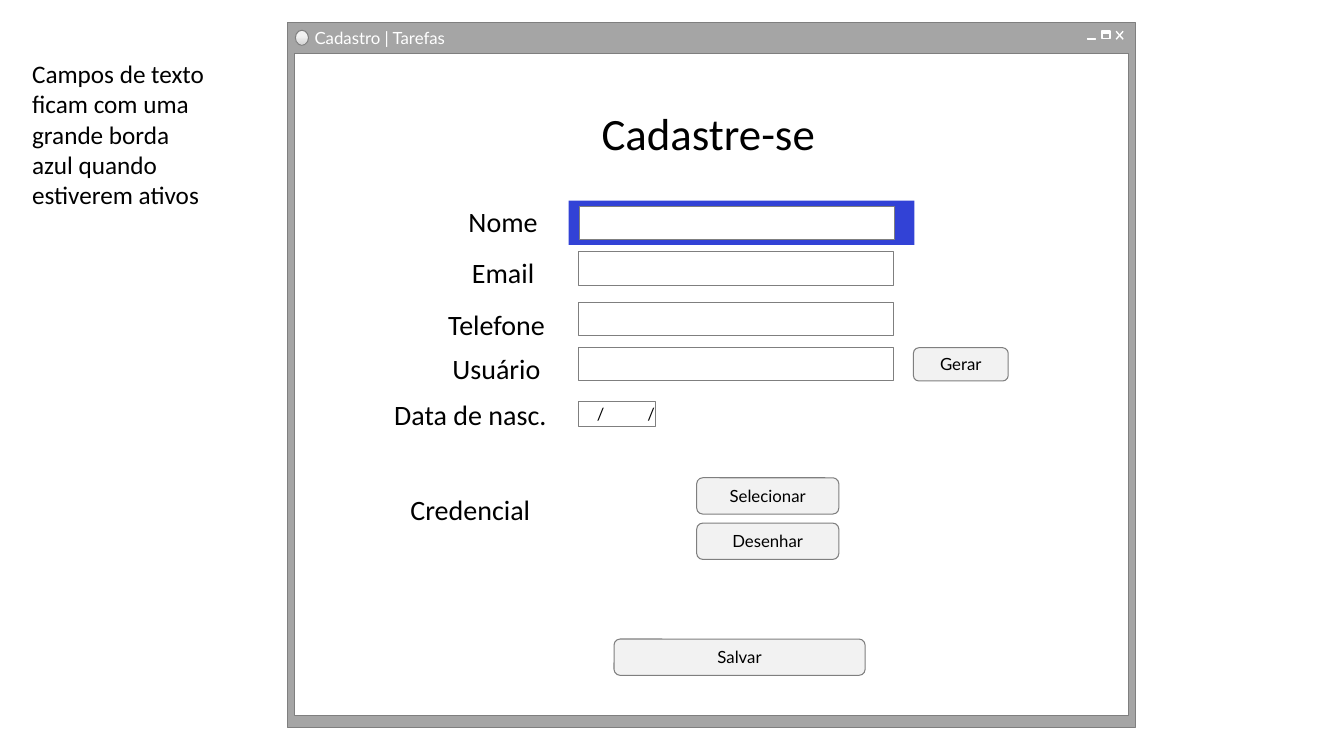
from dataclasses import dataclass

from lxml.etree import SubElement
from pptx import Presentation
from pptx.dml.color import RGBColor
from pptx.enum.shapes import MSO_CONNECTOR, MSO_SHAPE
from pptx.enum.text import MSO_ANCHOR as Anchor, PP_ALIGN as Align
from pptx.oxml.ns import qn
from pptx.util import Pt

PX = 9144


@dataclass(frozen=True)
class Theme:
    """Colours, fonts and type sizes of the mock-up."""
    frame: str = "A5A5A5"
    border: str = "7F7F7F"
    white: str = "FFFFFF"
    icon: str = "919191"
    button: str = "F2F2F2"
    shade: str = "D8D8D8"
    active: str = "3242D6"
    ink: str = "000000"
    body_font: str = "Calibri"
    ui_font: str = "Lato"
    title: int = 32
    label: int = 20
    note: int = 18
    ui: int = 12


THEME = Theme()


def px(*lengths):
    """Convert px lengths to EMU."""
    return [length * PX for length in lengths]


def rgb(colour):
    """Turn a hex string into a colour."""
    return RGBColor.from_string(colour)


def write(shape, text, size, font, colour=THEME.ink, align=Align.CENTER,
          anchor=Anchor.TOP, insets=(10, 5, 10, 5)):
    """Fill a shape's text frame with one formatted paragraph."""
    frame = shape.text_frame
    frame.text = text
    frame.word_wrap = True
    frame.vertical_anchor = anchor
    (frame.margin_left, frame.margin_top,
     frame.margin_right, frame.margin_bottom) = px(*insets)
    paragraph = frame.paragraphs[0]
    paragraph.alignment = align
    for run in paragraph.runs:
        run.font.size = Pt(size)
        run.font.name = font
        run.font.color.rgb = rgb(colour)


def add_text(shapes, box, text, size, font=THEME.body_font, **style):
    """Add a text box."""
    write(shapes.add_textbox(*px(*box)), text, size, font, **style)


def add_box(shapes, box, fill=THEME.white, line=THEME.border, width=0.75,
            kind=MSO_SHAPE.RECTANGLE):
    """Add a flat preset shape; None leaves out the fill or the line."""
    shape = shapes.add_shape(kind, *px(*box))
    shape.shadow.inherit = False
    if fill:
        shape.fill.solid()
        shape.fill.fore_color.rgb = rgb(fill)
    else:
        shape.fill.background()
    if line:
        shape.line.color.rgb = rgb(line)
        shape.line.width = Pt(width)
    else:
        shape.line.fill.background()
    return shape


def add_button(shapes, box, caption):
    """Add a rounded button with its caption."""
    button = add_box(shapes, box, THEME.button, kind=MSO_SHAPE.ROUNDED_RECTANGLE)
    button.adjustments[0] = 0.167
    write(button, caption, THEME.ui, THEME.ui_font, anchor=Anchor.MIDDLE,
          insets=(10, 0, 10, 1))


def add_stroke(shapes, start, end):
    """Add one white stroke of the close icon."""
    stroke = shapes.add_connector(MSO_CONNECTOR.STRAIGHT, *px(*start, *end))
    stroke.line.color.rgb = rgb(THEME.white)
    stroke.line.width = Pt(1)
    SubElement(stroke._element.spPr, qn("a:effectLst"))


def add_orb(shapes, box):
    """Add the shaded round icon of the title bar."""
    orb = add_box(shapes, box, kind=MSO_SHAPE.OVAL)
    orb.fill.gradient()
    orb.fill.gradient_angle = 270
    stops = orb._element.spPr.find(qn("a:gradFill")).find(qn("a:gsLst"))
    for stop in list(stops):
        stops.remove(stop)
    for percent, colour in ((0, THEME.button), (36, THEME.button),
                            (91, THEME.shade), (100, THEME.button)):
        stop = SubElement(stops, qn("a:gs"), pos=str(percent * 1000))
        SubElement(stop, qn("a:srgbClr"), val=colour)


def add_window(shapes):
    """Add the window frame, title bar and its icons."""
    add_box(shapes, (285, 22, 841, 700), THEME.frame)
    add_box(shapes, (292, 53, 827, 657))
    add_text(shapes, (307, 24, 160, 27), "Cadastro | Tarefas", THEME.ui,
             THEME.ui_font, colour=THEME.white, align=Align.LEFT,
             anchor=Anchor.MIDDLE, insets=(5, 2, 10, 3))
    add_stroke(shapes, (1107, 31), (1114, 39))
    add_stroke(shapes, (1114, 31), (1107, 39))
    for left, top in ((1093, 32), (1079, 38)):
        add_box(shapes, (left, top, 8, 1), THEME.icon, THEME.white)
    add_box(shapes, (1093, 31, 8, 7), None, THEME.white, 1)
    add_orb(shapes, (293, 30, 13, 15))


def add_date_field(shapes, box):
    """Add the date field with slashes set apart by a tab stop."""
    field = add_box(shapes, box)
    paragraph = field.text_frame.paragraphs[0]
    tabs = SubElement(paragraph._p.get_or_add_pPr(), qn("a:tabLst"))
    SubElement(tabs, qn("a:tab"), pos=str(20 * PX), algn="l")
    write(field, "/\t/", THEME.ui, THEME.ui_font, align=Align.LEFT,
          anchor=Anchor.MIDDLE, insets=(18, 0, 0, 0))


def add_form(shapes):
    """Add the labels, fields and buttons of the form."""
    add_text(shapes, (480, 100, 445, 64), "Cadastre-se", THEME.title)
    for label, left, top, width in (
            ("Nome", 445, 198, 108), ("Email", 445, 249, 108),
            ("Telefone", 431, 300, 123), ("Usuário", 431, 344, 123),
            ("Data de nasc.", 338, 389, 257), ("Credencial", 338, 484, 257)):
        add_text(shapes, (left, top, width, 44), label, THEME.label)
    add_box(shapes, (564, 199, 343, 44), THEME.active, None)
    for left, top in ((575, 205), (574, 250), (574, 300), (574, 345)):
        add_box(shapes, (left, top, 312, 33))
    add_date_field(shapes, (574, 398, 76, 25))
    for caption, *box in (
            ("Gerar", 906, 345, 94, 33), ("Selecionar", 691, 474, 141, 36),
            ("Desenhar", 691, 519, 141, 36), ("Salvar", 609, 634, 249, 36)):
        add_button(shapes, box, caption)


def main():
    """Build and save the registration screen slide."""
    deck = Presentation()
    deck.slide_width, deck.slide_height = px(1333, 750)
    shapes = deck.slides.add_slide(deck.slide_layouts[6]).shapes
    add_window(shapes.add_group_shape().shapes)
    add_form(shapes)
    add_text(shapes, (22, 53, 192, 162),
             "Campos de texto ficam com uma grande borda azul quando "
             "estiverem ativos", THEME.note, align=Align.LEFT)
    deck.save("out.pptx")


if __name__ == "__main__":
    main()
